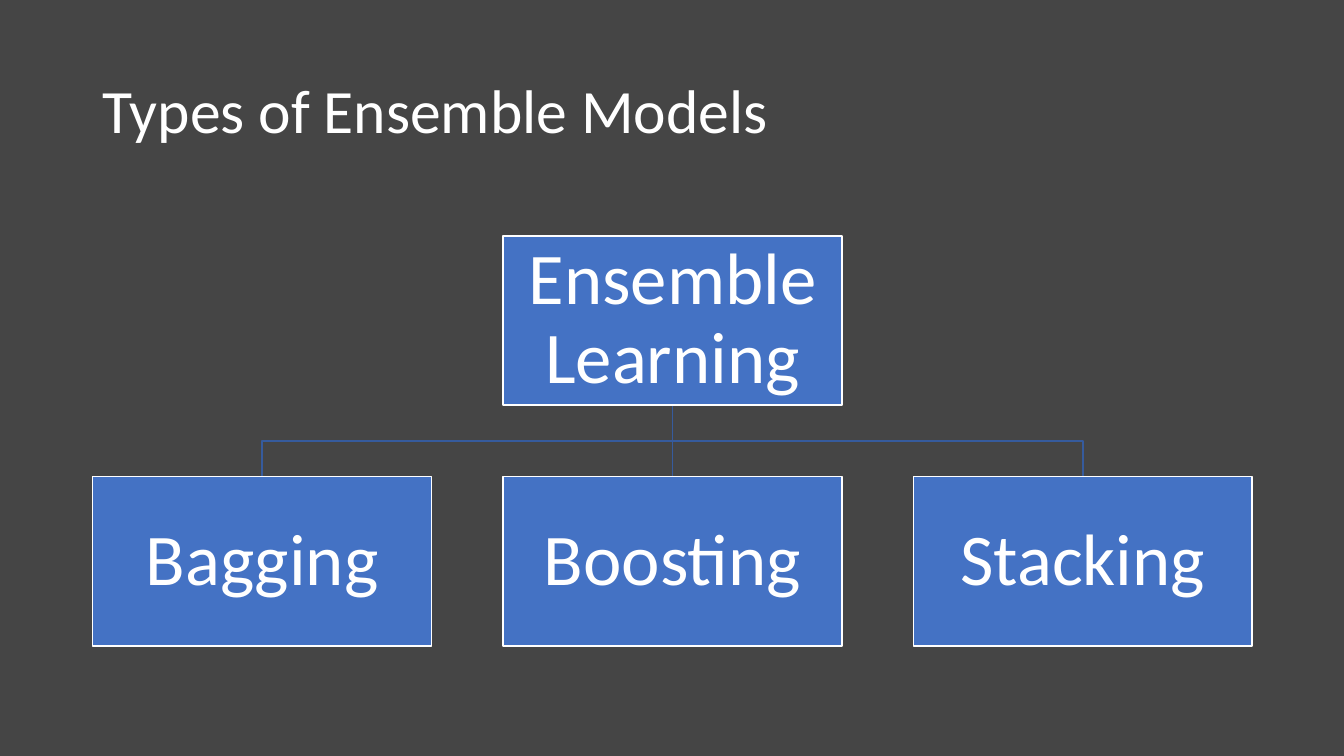
from pptx import Presentation, util as u
from pptx.dml.color import RGBColor
from pptx.enum import shapes, text
from pptx.oxml.ns import qn
from lxml import etree

HUES = {"back": "454545", "box": "4472C4", "link": "365B9D", "white": "FFFFFF"}
WIDE, HIGH = u.Inches(13.33), u.Inches(7.5)
LEFT, STEP = u.Inches(0.92), u.Inches(4.07)
BOX_W, BOX_H = u.Inches(3.36), u.Inches(1.68)
TOP, DROP = u.Inches(2.34), u.Inches(2.39)
KINDS = ["Bagging", "Boosting", "Stacking"]


def hue(name):
    return RGBColor.from_string(HUES[name])


def apply(item, form):
    for key, value in form.items():
        setattr(item, key, value)


def write(shape, words, size, align, inset):
    frame = shape.text_frame
    sides = ("left", "right", "top", "bottom")
    apply(frame, {"word_wrap": True, "vertical_anchor": text.MSO_ANCHOR.MIDDLE})
    apply(frame, {f"margin_{side}": u.Inches(gap) for side, gap in zip(sides, inset)})
    line = frame.paragraphs[0]
    apply(line, {"text": words, "alignment": align, "line_spacing": 0.9})
    apply(line.runs[0].font, {"size": u.Pt(size), "name": "Calibri"})
    line.runs[0].font.color.rgb = hue("white")


def stroke(shape, name):
    shape.line.color.rgb = hue(name)
    shape.line.width = u.Pt(1)


def title(slide, words):
    box = slide.shapes.add_textbox(LEFT, u.Inches(0.4), u.Inches(11.5), u.Inches(1.45))
    write(box, words, 44, text.PP_ALIGN.LEFT, (0.1, 0.1, 0.05, 0.05))


def spot(col, row):
    return LEFT + col * STEP, TOP + row * DROP


def node(slide, words, col, row):
    box = slide.shapes.add_shape(
        shapes.MSO_SHAPE.RECTANGLE, *spot(col, row), BOX_W, BOX_H)
    box.shadow.inherit = False
    box.fill.solid()
    box.fill.fore_color.rgb = hue("box")
    stroke(box, "white")
    write(box, words, 52, text.PP_ALIGN.CENTER, (0.04,) * 4)


def link(slide, start, end):
    x, y = (spot(start, 0)[0] + BOX_W // 2, TOP + BOX_H)
    far, low = (spot(end, 1)[0] + BOX_W // 2, TOP + DROP)
    if x == far:
        path = slide.shapes.add_connector(
            shapes.MSO_CONNECTOR.STRAIGHT, x, y, far, low)
        etree.SubElement(path._element.spPr, qn("a:effectLst"))
    else:
        mid = (y + low) // 2
        draft = slide.shapes.build_freeform(x, y)
        draft.add_line_segments([(x, mid), (far, mid), (far, low)], close=False)
        path = draft.convert_to_shape()
        path.shadow.inherit = False
        path.fill.background()
    stroke(path, "link")


def main():
    deck = Presentation()
    apply(deck, {"slide_width": WIDE, "slide_height": HIGH})
    slide = deck.slides.add_slide(deck.slide_layouts[6])
    slide.background.fill.solid()
    slide.background.fill.fore_color.rgb = hue("back")
    title(slide, "Types of Ensemble Models")
    for col in reversed(range(len(KINDS))):
        link(slide, 1, col)
    node(slide, "Ensemble Learning", 1, 0)
    for col, words in enumerate(KINDS):
        node(slide, words, col, 1)
    deck.save("out.pptx")


if __name__ == "__main__":
    main()
